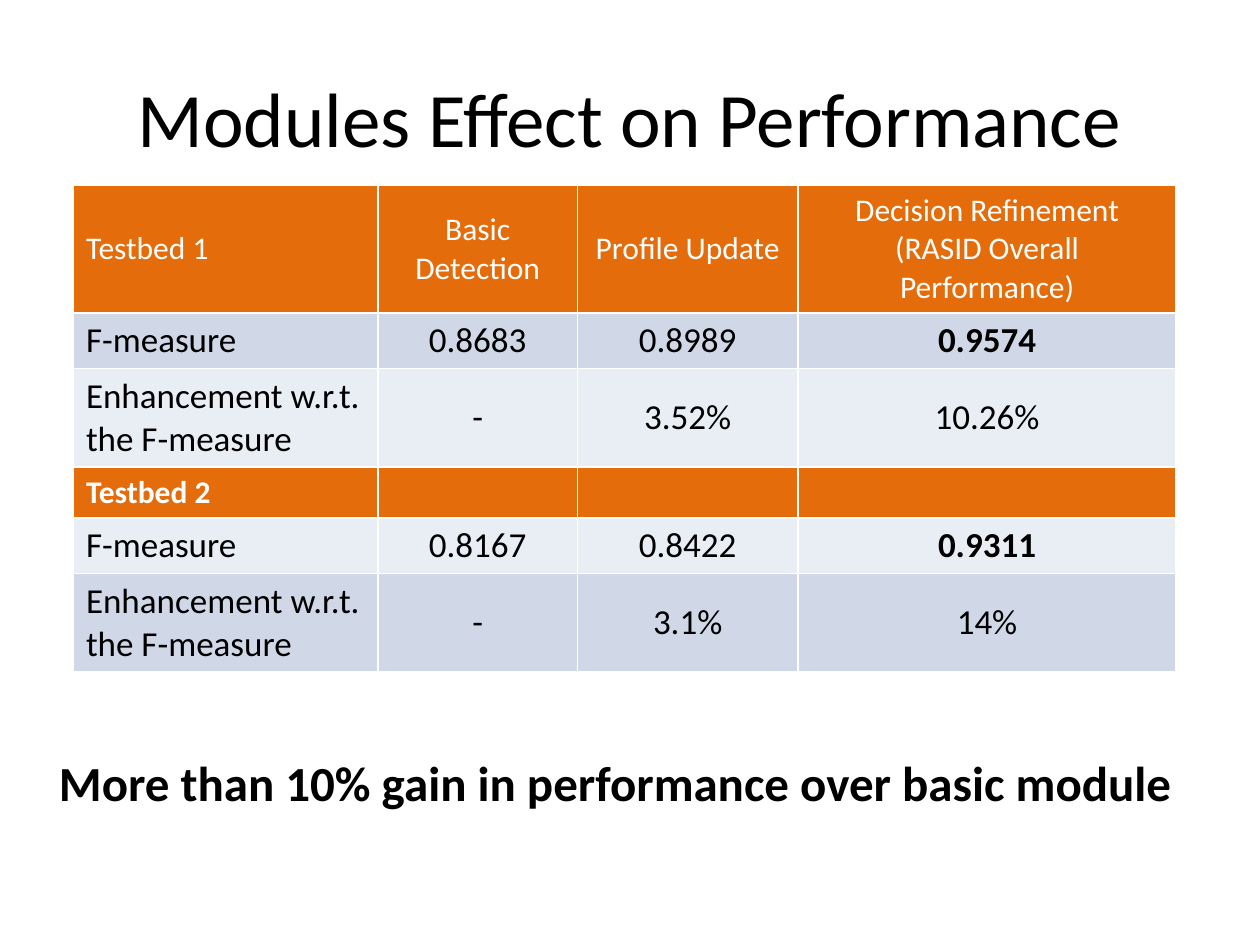
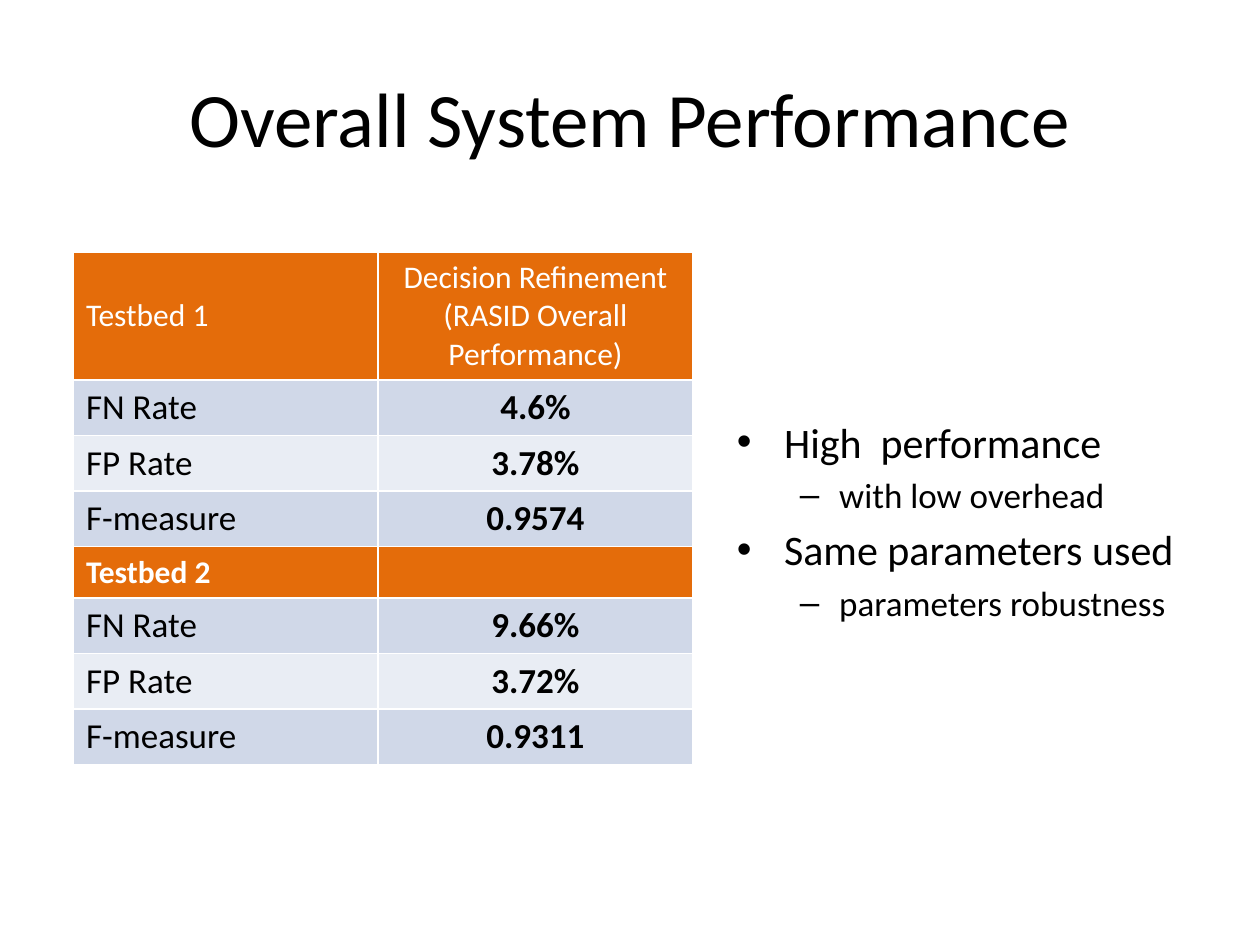
from dataclasses import dataclass

from pptx import Presentation
from pptx.dml.color import RGBColor
from pptx.enum.text import MSO_ANCHOR, MSO_AUTO_SIZE, PP_ALIGN
from pptx.slide import Slide
from pptx.util import Cm, Pt

ORANGE = RGBColor(0xE4, 0x6C, 0x0A)
BAND_DARK = RGBColor(0xD0, 0xD8, 0xE8)
BAND_LIGHT = RGBColor(0xE9, 0xED, 0xF4)
WHITE = RGBColor(0xFF, 0xFF, 0xFF)
BLACK = RGBColor(0, 0, 0)

FONT = "Calibri"
TABLE_LEFT = 1.48
LABEL_WIDTH = 6.14
TITLE_ONLY, TITLE_AND_BODY = 5, 1
OVERALL = "Decision Refinement\n(RASID Overall Performance)"
ENHANCEMENT = "Enhancement w.r.t. the F-measure"


@dataclass(frozen=True)
class RowStyle:
    height: float
    size: int
    color: RGBColor
    bold_label: bool = False
    bold_result: bool = False


HEADER = RowStyle(2.57, 18, WHITE)
SECTION = RowStyle(1.02, 18, WHITE, bold_label=True)
RESULT = RowStyle(1.12, 20, BLACK, bold_result=True)
GAIN = RowStyle(1.97, 20, BLACK)


@dataclass(frozen=True)
class Row:
    style: RowStyle
    cells: tuple[str, ...]


@dataclass(frozen=True)
class ResultTable:
    top: float
    value_widths: tuple[float, ...]
    rows: tuple[Row, ...]


MODULES = ResultTable(3.73, (4.02, 4.45, 7.62), (
    Row(HEADER, ("Testbed 1", "Basic Detection", "Profile Update", OVERALL)),
    Row(RESULT, ("F-measure", "0.8683", "0.8989", "0.9574")),
    Row(GAIN, (ENHANCEMENT, "-", "3.52%", "10.26%")),
    Row(SECTION, ("Testbed 2", "", "", "")),
    Row(RESULT, ("F-measure", "0.8167", "0.8422", "0.9311")),
    Row(GAIN, (ENHANCEMENT, "-", "3.1%", "14%")),
))
SYSTEM = ResultTable(5.08, (6.35,), (
    Row(HEADER, ("Testbed 1", OVERALL)),
    Row(RESULT, ("FN Rate", "4.6%")),
    Row(RESULT, ("FP Rate", "3.78%")),
    Row(RESULT, ("F-measure", "0.9574")),
    Row(SECTION, ("Testbed 2", "")),
    Row(RESULT, ("FN Rate", "9.66%")),
    Row(RESULT, ("FP Rate", "3.72%")),
    Row(RESULT, ("F-measure", "0.9311")),
))
# (indent level, text)
FINDINGS = (
    (0, "High  performance"),
    (1, "with low overhead"),
    (0, "Same parameters used"),
    (1, "parameters robustness"),
)
FINDING_SIZES = (24, 20)


def format_text(p, size: int, color: RGBColor = BLACK, bold: bool = False) -> None:
    font_values = {"name": FONT, "size": Pt(size), "bold": bold}
    for font in (p.font, *(r.font for r in p.runs)):
        for name, value in font_values.items():
            setattr(font, name, value)
        font.color.rgb = color


def place(sp, left: float, top: float, width: float, height: float) -> None:
    box = {"left": left, "top": top, "width": width, "height": height}
    for name, value in box.items():
        setattr(sp, name, Cm(value))


def add_titled_slide(prs, layout: int, title: str) -> Slide:
    s = prs.slides.add_slide(prs.slide_layouts[layout])
    sp = s.shapes.title
    place(sp, 1.27, 0.76, 22.86, 3.18)
    tf = sp.text_frame
    tf.text = title
    tf.vertical_anchor = MSO_ANCHOR.MIDDLE
    p = tf.paragraphs[0]
    p.alignment = PP_ALIGN.CENTER
    format_text(p, 44)
    return s


def row_fill(style: RowStyle, index: int) -> RGBColor:
    if style in (HEADER, SECTION):
        return ORANGE
    return BAND_DARK if index % 2 else BAND_LIGHT


def add_result_table(s: Slide, spec: ResultTable) -> None:
    """The default table style supplies the white cell borders."""
    widths = (LABEL_WIDTH, *spec.value_widths)
    height = sum(row.style.height for row in spec.rows)
    table = s.shapes.add_table(
        len(spec.rows), len(widths), Cm(TABLE_LEFT), Cm(spec.top),
        Cm(sum(widths)), Cm(height)).table
    for column, width in zip(table.columns, widths):
        column.width = Cm(width)
    last = len(widths) - 1
    for i, row in enumerate(spec.rows):
        style = row.style
        table.rows[i].height = Cm(style.height)
        for j, text in enumerate(row.cells):
            cell = table.cell(i, j)
            cell.text = text
            cell.vertical_anchor = MSO_ANCHOR.MIDDLE
            cell.fill.solid()
            cell.fill.fore_color.rgb = row_fill(style, i)
            bold = (style.bold_label and j == 0) or (style.bold_result and j == last)
            for p in cell.text_frame.paragraphs:
                p.alignment = PP_ALIGN.CENTER if j else PP_ALIGN.LEFT
                format_text(p, style.size, style.color, bold)


def add_conclusion(s: Slide, text: str) -> None:
    sp = s.shapes.add_textbox(Cm(0.94), Cm(15.04), Cm(23.19), Cm(1.45))
    tf = sp.text_frame
    tf.word_wrap = False
    tf.auto_size = MSO_AUTO_SIZE.SHAPE_TO_FIT_TEXT
    tf.text = text
    format_text(tf.paragraphs[0], 28, bold=True)


def fill_findings(s: Slide) -> None:
    sp = s.placeholders[1]
    place(sp, 14.6, 8.26, 9.53, 4.65)
    tf = sp.text_frame
    tf.auto_size = MSO_AUTO_SIZE.NONE
    tf.text = "\n".join(text for _, text in FINDINGS)
    for p, (level, _) in zip(tf.paragraphs, FINDINGS):
        p.level = level
        format_text(p, FINDING_SIZES[level])


def main() -> None:
    prs = Presentation()
    prs.slide_width, prs.slide_height = Cm(25.4), Cm(19.05)

    s = add_titled_slide(prs, TITLE_ONLY, "Modules Effect on Performance")
    add_result_table(s, MODULES)
    add_conclusion(s, "More than 10% gain in performance over basic module")

    s = add_titled_slide(prs, TITLE_AND_BODY, "Overall System Performance")
    fill_findings(s)
    add_result_table(s, SYSTEM)

    prs.save("out.pptx")


if __name__ == "__main__":
    main()
